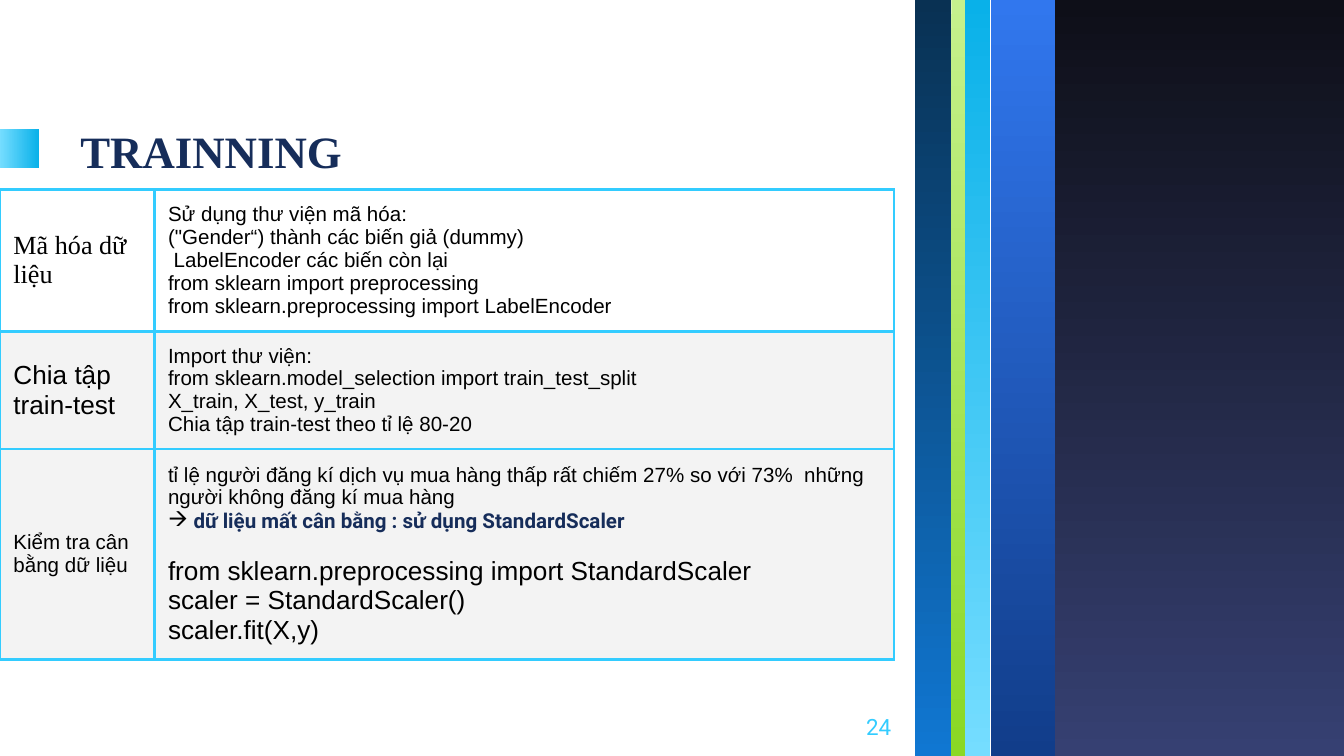
from dataclasses import dataclass
from typing import Optional

from lxml.etree import SubElement
from pptx import Presentation
from pptx.dml.color import RGBColor
from pptx.enum.shapes import MSO_SHAPE
from pptx.enum.text import MSO_ANCHOR, PP_ALIGN
from pptx.oxml.ns import qn
from pptx.util import Inches, Pt


@dataclass(frozen=True)
class Theme:
    serif: str = "Times New Roman"
    sans: str = "Arial"
    accent_face: str = "Roboto"
    symbol_face: str = "Wingdings"
    ink: str = "000000"
    navy: str = "162D5A"
    cyan: str = "33CCFF"
    shade: str = "F3F3F3"
    title_size: int = 24
    large_size: int = 14
    small_size: int = 11
    number_size: int = 12
    border_width: float = 1.5


THEME = Theme()


@dataclass(frozen=True)
class Band:
    left: float
    top: float
    width: float
    height: float
    start: str
    end: str
    angle: int = 270


@dataclass(frozen=True)
class Line:
    text: str
    size: int = THEME.small_size
    face: str = THEME.sans
    color: str = THEME.ink
    bold: bool = False
    bullet: Optional[str] = None
    space_before: float = 0
    align: PP_ALIGN = PP_ALIGN.LEFT


@dataclass(frozen=True)
class Step:
    height: float
    label: Line
    details: list[Line]
    fill: Optional[str] = THEME.shade


SLIDE_WIDTH = 10
SLIDE_HEIGHT = SLIDE_WIDTH * 9 / 16
BANDS = [
    Band(0, 0.96, 0.29, 0.29, "75DDFF", "09B1E9", 0),
    Band(7.37, 0, 0.49, SLIDE_HEIGHT, "3177EE", "113D8A"),
    Band(7.17, 0, 0.2, SLIDE_HEIGHT, "09B1E9", "75DDFF"),
    Band(7.08, 0, 0.1, SLIDE_HEIGHT, "C6F18D", "8AD824"),
    Band(6.81, 0, 0.27, SLIDE_HEIGHT, "093153", "1077D2"),
    Band(7.85, 0, 2.15, SLIDE_HEIGHT, "0E0F18", "364072"),
]
COLUMN_WIDTHS = [1.15, 5.5]
TABLE_HEIGHT = 3.53
STEPS = [
    Step(0.78, Line("Mã hóa dữ liệu", THEME.large_size, THEME.serif), [
        Line("Sử dụng thư viện mã hóa:"),
        Line('("Gender“) thành các biến giả (dummy)'),
        Line(" LabelEncoder các biến còn lại"),
        Line("from sklearn import preprocessing"),
        Line("from sklearn.preprocessing import LabelEncoder"),
    ], fill=None),
    Step(0.86, Line("Chia tập train-test", THEME.large_size), [
        Line("Import thư viện:"),
        Line("from sklearn.model_selection import train_test_split"),
        Line("X_train, X_test, y_train"),
        Line("Chia tập train-test theo tỉ lệ 80-20"),
    ]),
    Step(0.86, Line("Kiểm tra cân bằng dữ liệu"), [
        Line("tỉ lệ người đăng kí dịch vụ mua hàng thấp rất chiếm 27% so với 73%  "
             "những người không đăng kí mua hàng"),
        Line("dữ liệu mất cân bằng : sử dụng StandardScaler",
             face=THEME.accent_face, color=THEME.navy, bold=True, bullet="à"),
        Line("from sklearn.preprocessing import StandardScaler",
             THEME.large_size, space_before=12.6),
        Line("scaler = StandardScaler()", THEME.large_size),
        Line("scaler.fit(X,y)", THEME.large_size),
    ]),
]


def draw_band(slide, band: Band) -> None:
    stripe = slide.shapes.add_shape(
        MSO_SHAPE.RECTANGLE, Inches(band.left), Inches(band.top),
        Inches(band.width), Inches(band.height))
    stripe.shadow.inherit = False
    stripe.line.fill.background()
    stripe.fill.gradient()
    stripe.fill.gradient_angle = band.angle
    for stop, color in zip(stripe.fill.gradient_stops, (band.start, band.end)):
        stop.color.rgb = RGBColor.from_string(color)


def add_bullet(paragraph, symbol: str) -> None:
    properties = paragraph._p.get_or_add_pPr()
    properties.set("marL", str(Inches(0.19)))
    properties.set("indent", str(-Inches(0.19)))
    bullet_color = SubElement(properties, qn("a:buClr"))
    SubElement(bullet_color, qn("a:srgbClr")).set("val", THEME.ink)
    SubElement(properties, qn("a:buFont")).set("typeface", THEME.symbol_face)
    SubElement(properties, qn("a:buChar")).set("char", symbol)


def write_lines(frame, lines: list[Line]) -> None:
    for index, line in enumerate(lines):
        paragraph = frame.add_paragraph() if index else frame.paragraphs[0]
        paragraph.alignment = line.align
        if line.space_before:
            paragraph.space_before = Pt(line.space_before)
        if line.bullet:
            add_bullet(paragraph, line.bullet)
        run = paragraph.add_run()
        run.text = line.text
        run.font.name = line.face
        run.font.size = Pt(line.size)
        run.font.bold = line.bold
        run.font.color.rgb = RGBColor.from_string(line.color)


def draw_caption(slide, left: float, top: float, width: float, height: float,
                 anchor: MSO_ANCHOR, line: Line) -> None:
    frame = slide.shapes.add_textbox(
        Inches(left), Inches(top), Inches(width), Inches(height)).text_frame
    frame.word_wrap = True
    frame.vertical_anchor = anchor
    frame.margin_left = frame.margin_right = Inches(0.1)
    frame.margin_top = frame.margin_bottom = Inches(0.1)
    write_lines(frame, [line])


def style_cell(cell, fill: Optional[str]) -> None:
    cell.vertical_anchor = MSO_ANCHOR.MIDDLE
    cell.margin_left = cell.margin_right = Inches(0.1)
    cell.margin_top = cell.margin_bottom = Inches(0.07)
    properties = cell._tc.get_or_add_tcPr()
    for side in ("lnL", "lnR", "lnT", "lnB"):
        border = SubElement(properties, qn(f"a:{side}"))
        border.set("w", str(Pt(THEME.border_width)))
        paint = SubElement(border, qn("a:solidFill"))
        SubElement(paint, qn("a:srgbClr")).set("val", THEME.cyan)
    if fill:
        cell.fill.solid()
        cell.fill.fore_color.rgb = RGBColor.from_string(fill)
    else:
        cell.fill.background()


def draw_steps(slide, left: float, top: float, steps: list[Step]) -> None:
    frame = slide.shapes.add_table(
        len(steps), len(COLUMN_WIDTHS), Inches(left), Inches(top),
        Inches(sum(COLUMN_WIDTHS)), Inches(TABLE_HEIGHT))
    table = frame.table
    table.first_row = table.horz_banding = False
    for column, width in zip(table.columns, COLUMN_WIDTHS):
        column.width = Inches(width)
    for row, step in zip(table.rows, steps):
        row.height = Inches(step.height)
        for cell, lines in zip(row.cells, ([step.label], step.details)):
            style_cell(cell, step.fill)
            write_lines(cell.text_frame, lines)
    frame.height = Inches(TABLE_HEIGHT)


def main() -> None:
    deck = Presentation()
    deck.slide_width, deck.slide_height = Inches(SLIDE_WIDTH), Inches(SLIDE_HEIGHT)
    slide = deck.slides.add_slide(deck.slide_layouts[6])
    for band in BANDS:
        draw_band(slide, band)
    draw_caption(slide, 0.5, 0.62, 5.8, 0.8, MSO_ANCHOR.BOTTOM,
                 Line("TRAINNING", THEME.title_size, THEME.serif, THEME.navy, bold=True))
    draw_steps(slide, 0, 1.41, STEPS)
    draw_caption(slide, 6.13, 5.19, 0.6, 0.43, MSO_ANCHOR.MIDDLE,
                 Line("24", THEME.number_size, THEME.accent_face, THEME.cyan,
                      align=PP_ALIGN.RIGHT))
    deck.save("out.pptx")


if __name__ == "__main__":
    main()
